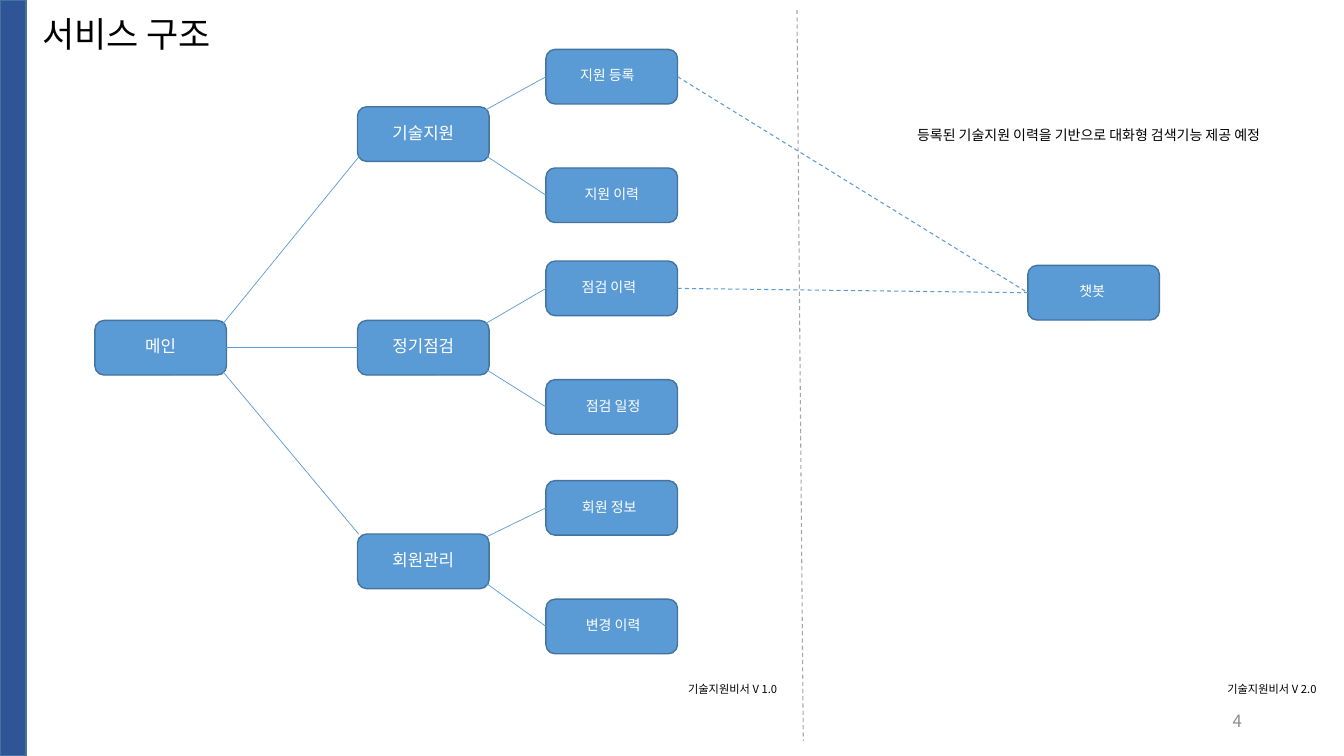
from lxml.etree import SubElement
from pptx import Presentation
from pptx.dml.color import RGBColor
from pptx.enum.dml import MSO_LINE
from pptx.enum.shapes import MSO_CONNECTOR, MSO_SHAPE
from pptx.enum.text import MSO_ANCHOR, MSO_AUTO_SIZE, PP_ALIGN
from pptx.oxml.ns import qn
from pptx.util import Pt

FONT = "Noto Sans CJK KR"
WHITE = RGBColor(0xFF, 0xFF, 0xFF)
BLACK = RGBColor(0x00, 0x00, 0x00)
NUMBER_GRAY = RGBColor(0x8C, 0x8C, 0x8C)
DIVIDER_GRAY = RGBColor(0xA5, 0xA5, 0xA5)
NAVY = RGBColor(0x2F, 0x55, 0x97)
BLUE = RGBColor(0x5B, 0x9B, 0xD5)
OUTLINE = RGBColor(0x43, 0x73, 0x9E)

BOX_WIDTH, BOX_HEIGHT = 94, 39
MAIN_LEFT, MENU_LEFT, PAGE_LEFT, CHATBOT_LEFT = 67.8, 255.4, 390, 734.2
MENU_TOP, MENU_STEP, PAGE_STEP = 76.3, 152.6, 84.7
CHATBOT_TOP = 189.6

MENUS = [
    ("기술지원", 35.3, [("지원 등록", -3.2), ("지원 이력", 0)]),
    ("정기점검", 186.5, [("점검 이력", -2), ("점검 일정", 1)]),
    ("회원관리", 343.3, [("회원 정보", -1.8), ("변경 이력", 1)]),
]
MAIN_LINKS = [
    (261.4, 105.8, 157, 234),
    (255.4, 248.4, 161.8, 248.4),
    (256.3, 381.6, 157, 262.8),
]


def write(paragraph, text, size, color, align=PP_ALIGN.LEFT):
    """Fill a paragraph with text in one font, size and colour."""
    paragraph.text = text
    paragraph.alignment = align
    font = paragraph.font
    font.size, font.name = Pt(size), FONT
    font.color.rgb = color
    properties = paragraph._p.get_or_add_pPr().find(qn("a:defRPr"))
    SubElement(properties, qn("a:ea")).set("typeface", FONT)


def add_block(slide, kind, left, top, width, height, fill):
    """Add a filled, outlined shape without shadow."""
    shape = slide.shapes.add_shape(kind, Pt(left), Pt(top), Pt(width), Pt(height))
    shape.shadow.inherit = False
    shape.fill.solid()
    shape.fill.fore_color.rgb = fill
    shape.line.color.rgb = OUTLINE
    shape.line.width = Pt(1)
    return shape


def add_node(slide, text, left, top, size, shift=0):
    """Add a rounded box whose label is moved sideways by shift."""
    shape = add_block(slide, MSO_SHAPE.ROUNDED_RECTANGLE, left, top, BOX_WIDTH, BOX_HEIGHT, BLUE)
    frame = shape.text_frame
    frame.vertical_anchor = MSO_ANCHOR.MIDDLE
    frame.margin_left, frame.margin_right = Pt(6 + shift), Pt(6 - shift)
    frame.margin_top, frame.margin_bottom = Pt(0), Pt(2)
    write(frame.paragraphs[0], text, size, WHITE, PP_ALIGN.CENTER)


def add_line(slide, start_x, start_y, end_x, end_y, color=BLUE, width=0.5, dashed=False):
    """Add a straight line, solid or dashed."""
    line = slide.shapes.add_connector(
        MSO_CONNECTOR.STRAIGHT, Pt(start_x), Pt(start_y), Pt(end_x), Pt(end_y))
    line.line.color.rgb = color
    line.line.width = Pt(width)
    if dashed:
        line.line.dash_style = MSO_LINE.DASH
    SubElement(line._element.spPr, qn("a:effectLst"))


def add_note(slide, text, left, top, width, height, size, color=BLACK, align=PP_ALIGN.LEFT):
    """Add a wrapped line of free text."""
    frame = slide.shapes.add_textbox(Pt(left), Pt(top), Pt(width), Pt(height)).text_frame
    frame.word_wrap = True
    frame.vertical_anchor = MSO_ANCHOR.MIDDLE
    write(frame.paragraphs[0], text, size, color, align)


def set_title(slide, text):
    """Place and format the title placeholder."""
    title = slide.shapes.title
    title.left, title.top, title.width, title.height = Pt(23), Pt(7.2), Pt(936.7), Pt(36.7)
    frame = title.text_frame
    frame.auto_size = MSO_AUTO_SIZE.NONE
    frame.vertical_anchor = MSO_ANCHOR.MIDDLE
    write(frame.paragraphs[0], text, 25, BLACK)
    frame.paragraphs[0].line_spacing = 0.9


def add_menu(slide, index, name, first_page_top, pages):
    """Add one menu with its pages and the lines between them."""
    menu_top = MENU_TOP + index * MENU_STEP
    add_node(slide, name, MENU_LEFT, menu_top, 12)
    for row, (page, shift) in enumerate(pages):
        page_top = first_page_top + row * PAGE_STEP
        add_node(slide, page, PAGE_LEFT, page_top, 10, shift)
        corner_y = menu_top + (BOX_HEIGHT - 4.5 if row else 2.5)
        add_line(slide, PAGE_LEFT, page_top + BOX_HEIGHT / 2, MENU_LEFT + BOX_WIDTH - 3, corner_y)


def main():
    """Build the service structure slide."""
    presentation = Presentation()
    presentation.slide_width, presentation.slide_height = Pt(960), Pt(540)
    slide = presentation.slides.add_slide(presentation.slide_layouts[5])
    set_title(slide, "서비스 구조")
    add_block(slide, MSO_SHAPE.RECTANGLE, 0, 0, 18.5, 540, NAVY)

    add_node(slide, "메인", MAIN_LEFT, MENU_TOP + MENU_STEP, 12)
    for index, (name, first_page_top, pages) in enumerate(MENUS):
        add_menu(slide, index, name, first_page_top, pages)
    for link in MAIN_LINKS:
        add_line(slide, *link)

    add_node(slide, "챗봇", CHATBOT_LEFT, CHATBOT_TOP, 10, -1)
    for _, first_page_top, _ in MENUS[:2]:
        add_line(slide, PAGE_LEFT + BOX_WIDTH, first_page_top + BOX_HEIGHT / 2,
                 CHATBOT_LEFT, CHATBOT_TOP + BOX_HEIGHT / 2, width=0.75, dashed=True)
    add_line(slide, 569.3, 7.2, 573.8, 529.2, DIVIDER_GRAY, 0.75, True)

    add_note(slide, "등록된 기술지원 이력을 기반으로 대화형 검색기능 제공 예정", 648, 86.4, 270, 19.4, 10)
    for version, left in (("1.0", 484.4), ("2.0", 869.6)):
        add_note(slide, f"기술지원비서 V {version}", left, 483.8, 88, 17, 8)
    add_note(slide, "4", 678.2, 500.4, 216, 28.8, 12, NUMBER_GRAY, PP_ALIGN.RIGHT)
    presentation.save("out.pptx")


if __name__ == "__main__":
    main()
